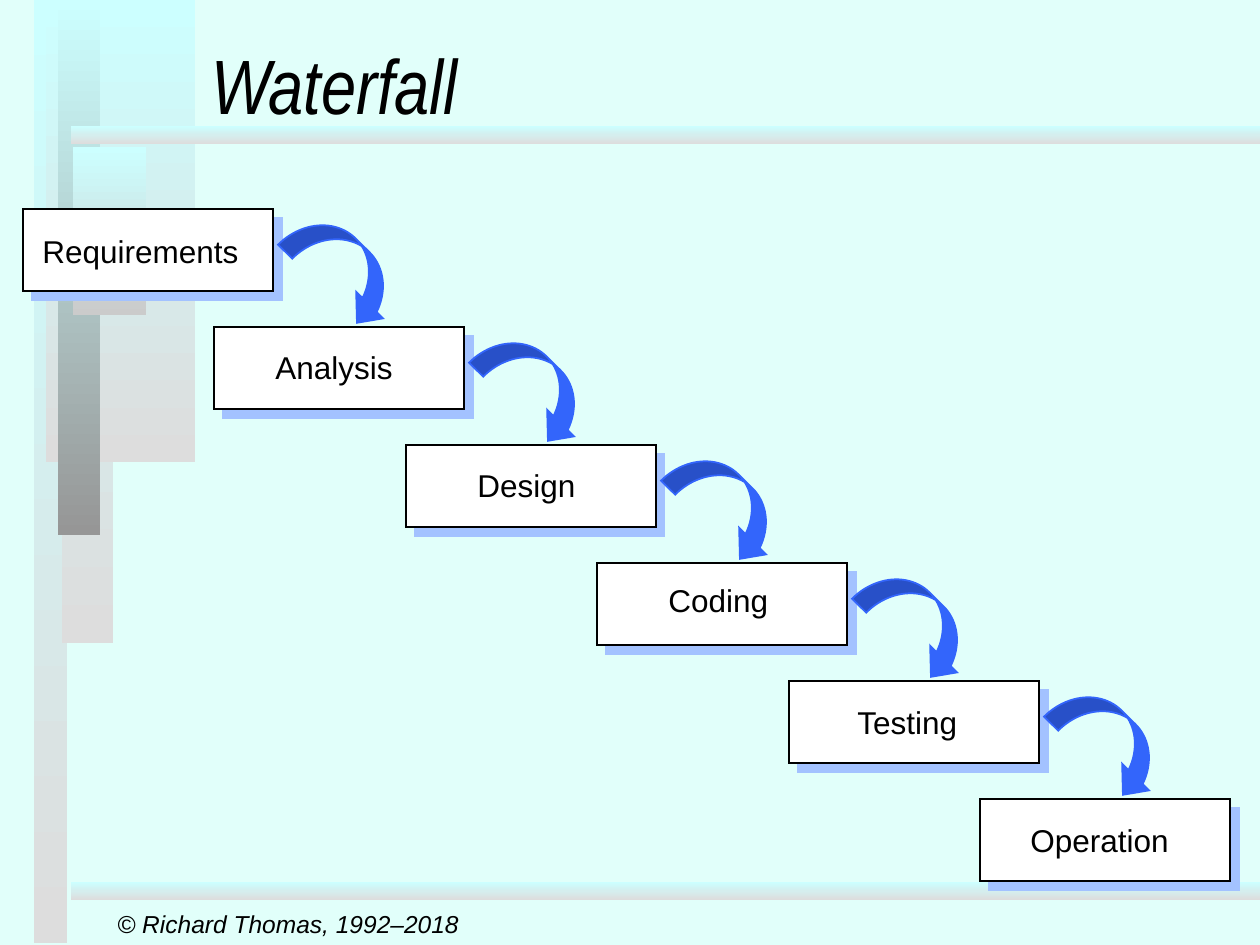
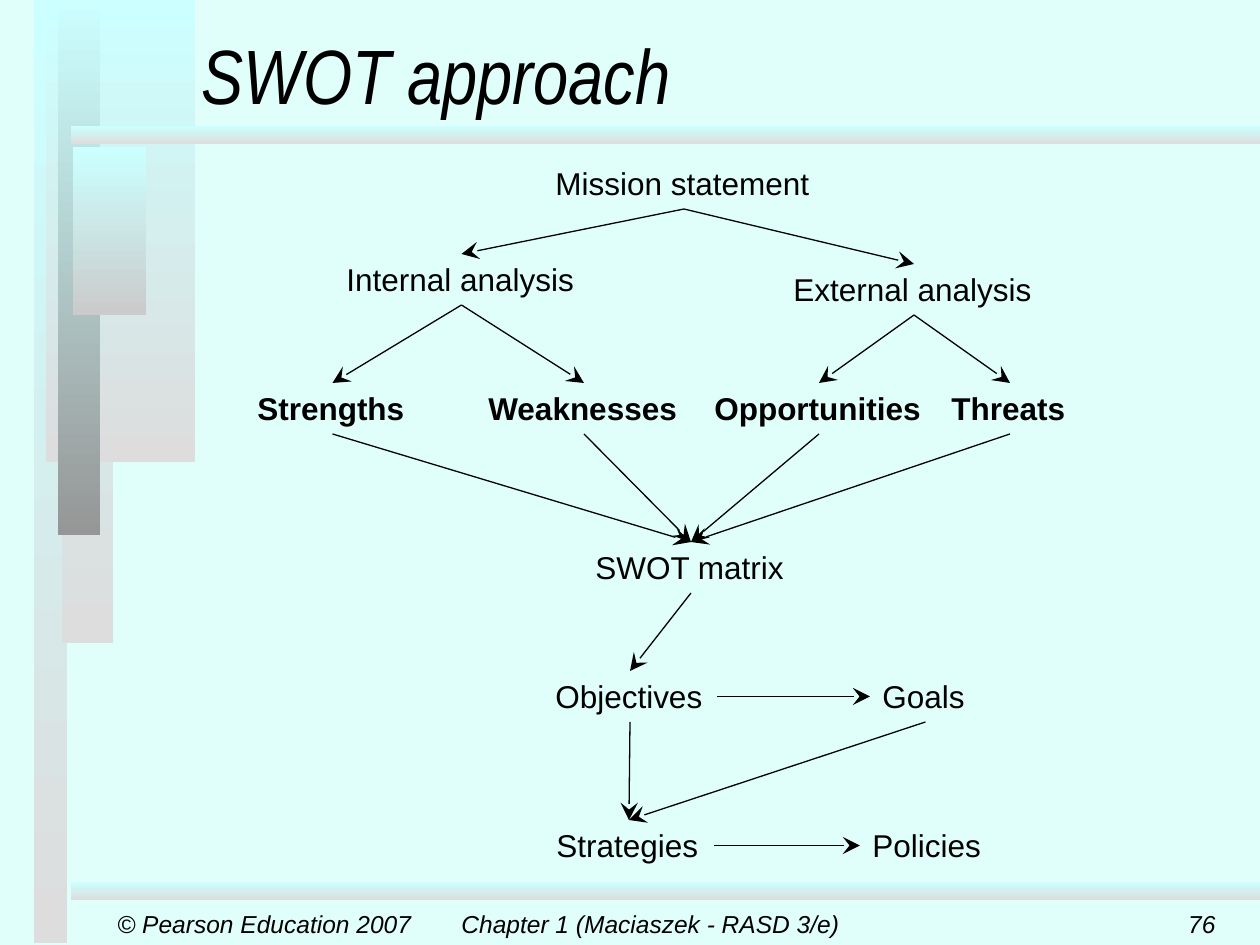
from lxml import etree
from pptx import Presentation
from pptx.dml.color import RGBColor
from pptx.enum.shapes import MSO_CONNECTOR, MSO_SHAPE
from pptx.enum.text import MSO_ANCHOR, MSO_AUTO_SIZE, PP_ALIGN
from pptx.oxml.ns import qn
from pptx.util import Pt

PX = 914400 / 126
RECT = MSO_SHAPE.RECTANGLE
CURVE = MSO_SHAPE.CURVED_DOWN_ARROW
STRAIGHT = MSO_CONNECTOR.STRAIGHT
LEFT, CENTER, RIGHT = PP_ALIGN.LEFT, PP_ALIGN.CENTER, PP_ALIGN.RIGHT
MIDDLE, BOTTOM = MSO_ANCHOR.MIDDLE, MSO_ANCHOR.BOTTOM
FIT, FIXED = MSO_AUTO_SIZE.SHAPE_TO_FIT_TEXT, MSO_AUTO_SIZE.NONE

BLACK = RGBColor(0x00, 0x00, 0x00)
WHITE = RGBColor(0xFF, 0xFF, 0xFF)
MINT = RGBColor(0xE1, 0xFF, 0xFA)
CYAN = RGBColor(0xCC, 0xFF, 0xFF)
PALE = RGBColor(0xDD, 0xDD, 0xDD)
SILVER = RGBColor(0xCB, 0xCB, 0xCB)
GREY = RGBColor(0x96, 0x96, 0x96)
BLUE = RGBColor(0x33, 0x65, 0xFB)
SHADE = RGBColor(0xA3, 0xC2, 0xFF)

BANDS = [
    (34, 0, 33, 943, PALE),
    (62, 0, 51, 643, PALE),
    (46, 0, 149, 462, PALE),
    (58, 0, 42, 535, GREY),
    (73, 147, 73, 168, SILVER),
    (71, 126, 1189, 18, PALE),
    (71, 882, 1189, 18, PALE),
]
ROW = 51

STAGES = [
    ("Requirements", 30, 226, 224),
    ("Analysis", 263, 342, 146),
    ("Design", 465, 460, 127),
    ("Coding", 656, 575, 128),
    ("Testing", 845, 697, 128),
    ("Operation", 1018, 815, 167),
]

NODES = {
    "Mission statement": (543, 158, 282),
    "Internal analysis": (334, 254, 255),
    "External analysis": (781, 264, 266),
    "Strengths": (245, 383, 175),
    "Weaknesses": (476, 383, 216),
    "Opportunities": (702, 383, 234),
    "Threats": (939, 383, 142),
    "SWOT matrix": (583, 542, 216),
    "Objectives": (543, 671, 174),
    "Goals": (870, 671, 111),
    "Strategies": (544, 820, 170),
    "Policies": (860, 820, 138),
}
FACTORS = ["Strengths", "Weaknesses", "Opportunities", "Threats"]
DOWN = [
    ("Mission statement", "Internal analysis"),
    ("Mission statement", "External analysis"),
    ("Internal analysis", "Strengths"),
    ("Internal analysis", "Weaknesses"),
    ("External analysis", "Opportunities"),
    ("External analysis", "Threats"),
    *[(name, "SWOT matrix") for name in FACTORS],
    ("SWOT matrix", "Objectives"),
    ("Objectives", "Strategies"),
    ("Goals", "Strategies"),
]
ACROSS = [("Objectives", "Goals"), ("Strategies", "Policies")]


def emu(*lengths):
    return [round(n * PX) for n in lengths]


class Deck:
    def __init__(self):
        self.prs = Presentation()
        self.prs.slide_width, self.prs.slide_height = emu(1260, 945)
        fill = self.prs.slide_master.background.fill
        fill.solid()
        fill.fore_color.rgb = MINT
        self.slide = None

    def start(self, title, *place):
        self.slide = self.prs.slides.add_slide(self.prs.slide_layouts[5])
        for *spot, end in BANDS:
            self.band(spot, end)
        head = self.slide.shapes.title
        head.left, head.top, head.width, head.height = emu(*place)
        frame = head.text_frame
        frame.text = title
        frame.vertical_anchor = BOTTOM
        frame.auto_size = FIXED
        self.style(frame.paragraphs[0], 44, LEFT, "Arial Narrow", italic=True)

    def style(self, para, size, align, face="Arial", bold=False, italic=False):
        para.alignment = align
        font = para.font
        font.name, font.size = face, Pt(size)
        font.bold, font.italic = bold, italic
        font.color.rgb = BLACK

    def shape(self, kind, place):
        shape = self.slide.shapes.add_shape(kind, *emu(*place))
        shape.shadow.inherit = False
        return shape

    def band(self, place, end):
        band = self.shape(RECT, place)
        band.line.fill.background()
        band.fill.gradient()
        band.fill.gradient_angle = 270
        for stop, color in zip(band.fill.gradient_stops, (CYAN, end)):
            stop.color.rgb = color

    def solid(self, kind, place, fill, line):
        shape = self.shape(kind, place)
        shape.fill.solid()
        shape.fill.fore_color.rgb = fill
        shape.line.color.rgb = line
        shape.line.width = Pt(1)
        edge = shape._element.spPr.find(qn("a:ln"))
        etree.SubElement(edge, qn("a:miter"), lim="800000")
        return shape

    def box(self, *place):
        box = self.solid(RECT, place, WHITE, BLACK)
        effects = box._element.spPr.find(qn("a:effectLst"))
        shadow = etree.SubElement(effects, qn("a:outerShdw"), dist=str(Pt(7.1)),
                                  dir="2700000", algn="ctr", rotWithShape="0")
        etree.SubElement(shadow, qn("a:srgbClr"), val=str(SHADE))
        return box

    def curve(self, *place):
        curve = self.solid(CURVE, place, BLUE, BLUE)
        curve.rotation = 44.7
        for i, value in enumerate((0.338, 0.643, 0.365)):
            curve.adjustments[i] = value

    def text(self, words, place, size=18, align=LEFT, **look):
        box = self.slide.shapes.add_textbox(*emu(*place))
        frame = box.text_frame
        frame.text = words
        frame.word_wrap = False
        frame.auto_size = FIT
        self.style(frame.paragraphs[0], size, align, **look)
        return box

    def foot(self, words, left, width, align=LEFT):
        box = self.text(words, (left, 903, width, 42), 14, align, italic=True)
        box.text_frame.auto_size = FIXED
        box.text_frame.vertical_anchor = MIDDLE

    def link(self, tip, root):
        link = self.slide.shapes.add_connector(STRAIGHT, *emu(*tip, *root))
        link.line.color.rgb = BLACK
        link.line.width = Pt(0.75)
        props = link._element.spPr
        etree.SubElement(props.find(qn("a:ln")), qn("a:headEnd"),
                         type="stealth", w="lg", len="lg")
        etree.SubElement(props, qn("a:effectLst"))


def fall(deck):
    deck.start("Waterfall", 199, 11, 998, 125)
    for i, (name, left, top, width) in enumerate(STAGES):
        right, down = i * 383 // 2, i * 118
        box = deck.box(23 + right, 209 + down, 250, 82)
        label = deck.text(name, (left, top, width, ROW))
        deck.slide.shapes.add_group_shape([box, label])
        if i < len(STAGES) - 1:
            deck.curve(280 + right, 240 + down, 130, 59)
    deck.foot("© Richard Thomas, 1992–2018", 105, 262)


def swot(deck):
    deck.start("SWOT approach", 189, 0, 1071, 126)
    for name, place in NODES.items():
        deck.text(name, (*place, ROW), bold=name in FACTORS)
    for start, end in DOWN:
        (x1, y1, w1), (x2, y2, w2) = NODES[start], NODES[end]
        deck.link((x2 + w2 / 2, y2), (x1 + w1 / 2, y1 + ROW))
    for start, end in ACROSS:
        (x1, y1, w1), (x2, y2, _) = NODES[start], NODES[end]
        deck.link((x2, y2 + ROW / 2), (x1 + w1, y1 + ROW / 2))
    deck.foot("© Pearson Education 2007", 105, 262)
    deck.foot("Chapter 1 (Maciaszek - RASD 3/e)", 451, 399, CENTER)
    deck.foot("76", 966, 262, RIGHT)


def main():
    deck = Deck()
    fall(deck)
    swot(deck)
    deck.prs.save("out.pptx")


if __name__ == "__main__":
    main()
